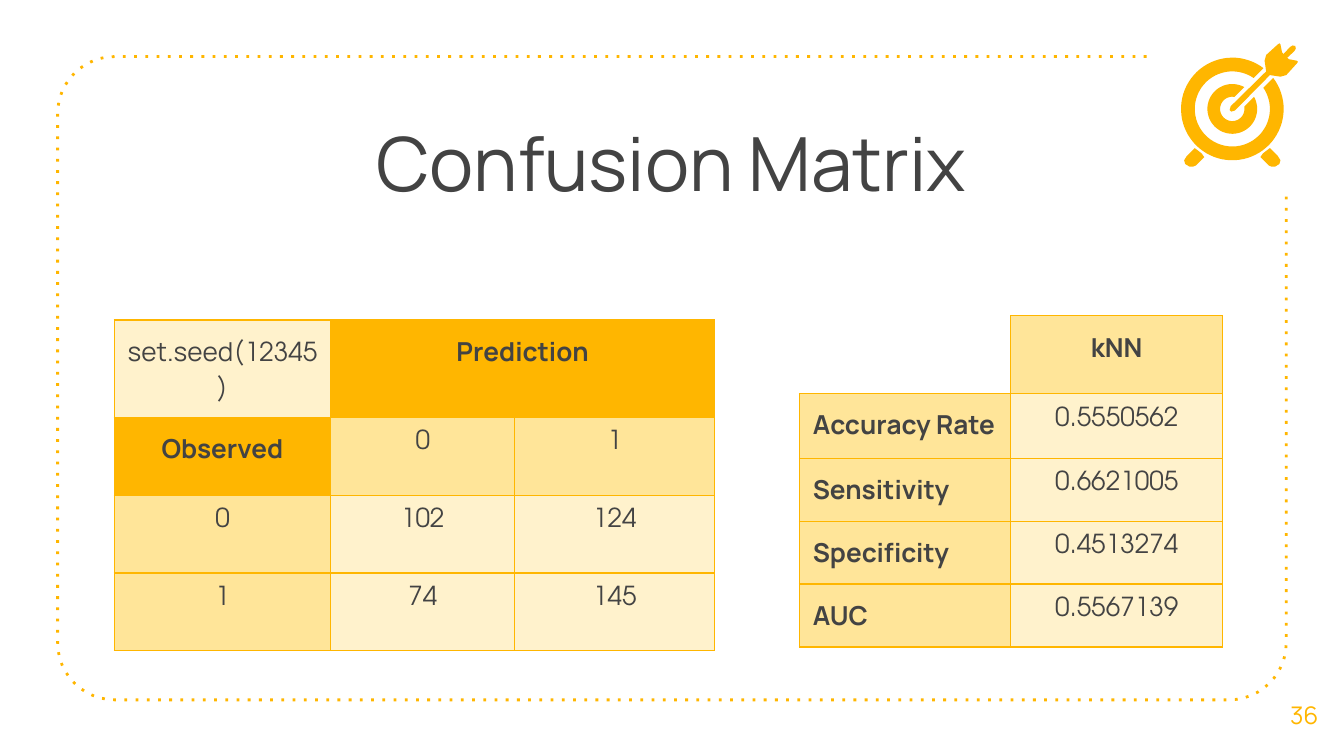
from math import asin, cos, pi, sin

from lxml.etree import SubElement
from pptx import Presentation
from pptx.dml.color import RGBColor
from pptx.enum.dml import MSO_LINE
from pptx.enum.text import MSO_ANCHOR, PP_ALIGN
from pptx.oxml.ns import qn
from pptx.util import Cm, Pt

AMBER = RGBColor(0xFF, 0xB6, 0x00)
SAND = RGBColor(0xFF, 0xE5, 0x99)
CREAM = RGBColor(0xFF, 0xF2, 0xCC)
CHARCOAL = RGBColor(0x43, 0x43, 0x43)
TEXT_FONT = "Manrope"
NUMBER_FONT = "TeX Gyre Adventor"
ALL_SIDES = ("lnL", "lnR", "lnT", "lnB")


def add_run(paragraph, text, color=CHARCOAL, **formats):
    run = paragraph.add_run()
    run.text = text
    run.font.color.rgb = color
    for name, value in formats.items():
        setattr(run.font, name, value)


def add_text(slide, box, text, size, color, anchor):
    frame = slide.shapes.add_textbox(*map(Cm, box)).text_frame
    margins = {f"margin_{side}": Cm(0.25) for side in ("left", "right", "top", "bottom")}
    formats = {"word_wrap": True, "vertical_anchor": anchor, **margins}
    for name, value in formats.items():
        setattr(frame, name, value)
    frame.paragraphs[0].alignment = PP_ALIGN.CENTER
    add_run(frame.paragraphs[0], text, color, size=Pt(size), name=TEXT_FONT)


def add_outline(slide, points, close=True):
    points = [(Cm(x), Cm(y)) for x, y in points]
    builder = slide.shapes.build_freeform(*points[0])
    builder.add_line_segments(points[1:], close=close)
    shape = builder.convert_to_shape()
    shape.shadow.inherit = False
    return shape


def arc(x, y, radius, start, end, steps):
    """Points on a circle; angles run counterclockwise from the right."""
    angles = [start + (end - start) * step / steps for step in range(steps + 1)]
    return [(x + radius * cos(angle), y - radius * sin(angle)) for angle in angles]


def add_frame(slide, box):
    """Dotted rounded border, open at the top right corner."""
    left, top, width, height = box
    right, bottom = left + width, top + height
    radius = 1.08
    points = [(right - 2.64, top)]
    points += arc(left + radius, top + radius, radius, pi / 2, pi, 12)
    points += arc(left + radius, bottom - radius, radius, pi, 1.5 * pi, 12)
    points += arc(right - radius, bottom - radius, radius, 1.5 * pi, 2 * pi, 12)
    points.append((right, top + 2.64))
    shape = add_outline(slide, points, close=False)
    shape.fill.background()
    shape.line.color.rgb = AMBER
    shape.line.width = Pt(1.5)
    shape.line.dash_style = MSO_LINE.ROUND_DOT
    shape.line._ln.find(qn("a:prstDash")).set("val", "dot")


def add_target(slide, box):
    """Target with two rings, two feet and an arrow on the diagonal."""
    left, top, width, height = box
    x, y = left + width / 2, top + height / 2
    half_gap = 0.13
    outlines = []

    # Rings, cut by a gap of equal width for the arrow
    for outer, inner in ((width / 2, 0.71), (0.47, 0.23)):
        outer_cut, inner_cut = asin(half_gap / outer), asin(half_gap / inner)
        outlines.append(
            arc(x, y, outer, pi / 4 + outer_cut, 2.25 * pi - outer_cut, 72)
            + arc(x, y, inner, 2.25 * pi - inner_cut, pi / 4 + inner_cut, 72))

    # Feet, mirrored left and right
    foot = [(0.71, 0.74), (0.86, 0.89), (0.91, 0.97), (0.89, 1.04), (0.81, 1.09),
            (0.74, 1.09), (0.69, 1.07), (0.53, 0.91), (0.58, 0.84)]
    for side in (-1, 1):
        outlines.append([(x + side * dx, y + dy) for dx, dy in foot])

    # Arrow, mirrored across its diagonal
    half = [(1.19, -1.19), (1.14, -1.2), (1.09, -1.17), (0.97, -1.04), (0.94, -1.07),
            (0.91, -1.22), (0.89, -1.24), (0.86, -1.22), (0.64, -1.02), (0.61, -0.91),
            (0.64, -0.71), (-0.03, -0.05), (-0.05, 0.02)]
    arrow = half + [(-dy, -dx) for dx, dy in reversed(half)]
    outlines.append([(x + dx, y + dy) for dx, dy in arrow])

    for points in outlines:
        shape = add_outline(slide, points)
        shape.fill.solid()
        shape.fill.fore_color.rgb = AMBER
        shape.line.fill.background()


def set_borders(cell, sides):
    properties = cell._tc.get_or_add_tcPr()
    for position, side in enumerate(sides):
        line = properties.makeelement(qn(f"a:{side}"), {"w": str(Pt(0.75))})
        fill = SubElement(line, qn("a:solidFill"))
        SubElement(fill, qn("a:srgbClr"), val=str(AMBER))
        properties.insert(position, line)


def plain(text):
    return text, {"name": TEXT_FONT}


def bold(text):
    return text, {"name": TEXT_FONT, "bold": True}


def number(text):
    return text, {"name": NUMBER_FONT}


def fill_cell(cell, runs, color, alignment=PP_ALIGN.CENTER, sides=ALL_SIDES):
    for side in ("left", "right", "top", "bottom"):
        setattr(cell, f"margin_{side}", Cm(0.25))
    if color is None:
        cell.fill.background()
    else:
        cell.fill.solid()
        cell.fill.fore_color.rgb = color
    paragraph = cell.text_frame.paragraphs[0]
    paragraph.alignment = alignment
    for text, formats in runs:
        add_run(paragraph, text, size=Pt(14), **formats)
    set_borders(cell, sides)


def add_grid(slide, left, top, widths, heights):
    box = map(Cm, (left, top, sum(widths), sum(heights)))
    table = slide.shapes.add_table(len(heights), len(widths), *box).table
    table.first_row = table.horz_banding = False
    for column, width in zip(table.columns, widths):
        column.width = Cm(width)
    for row, height in zip(table.rows, heights):
        row.height = Cm(height)
    return table


def add_confusion_table(slide, left, top):
    table = add_grid(slide, left, top, (4.09, 3.48, 3.78), (1.84, 1.47, 1.47, 1.47))
    rows = [
        [([plain("set.seed("), number("12345"), plain(")")], CREAM),
         ([bold("Prediction")], AMBER), ([], AMBER)],
        [([bold("Observed")], AMBER), ([number("0")], SAND), ([number("1")], SAND)],
    ]
    for label, *counts in (("0", "102", "124"), ("1", "74", "145")):
        rows.append([([number(label)], SAND)]
                    + [([number(count)], CREAM) for count in counts])
    for row, cells in enumerate(rows):
        for column, (runs, color) in enumerate(cells):
            fill_cell(table.cell(row, column), runs, color)
    table.cell(0, 1).merge(table.cell(0, 2))


def add_metrics_table(slide, left, top):
    metrics = (("Accuracy Rate", "0.5550562"), ("Sensitivity", "0.6621005"),
               ("Specificity", "0.4513274"), ("AUC", "0.5567139"))
    table = add_grid(slide, left, top, (3.99, 4.01), (1.47, 1.22, 1.19, 1.19, 1.19))
    fill_cell(table.cell(0, 0), [], None, sides=("lnR", "lnB"))
    fill_cell(table.cell(0, 1), [bold("kNN")], SAND)
    for row, (label, value) in enumerate(metrics, start=1):
        fill_cell(table.cell(row, 0), [bold(label)], SAND, PP_ALIGN.LEFT)
        fill_cell(table.cell(row, 1), [number(value)], CREAM)


def main():
    presentation = Presentation()
    presentation.slide_width = Cm(25.4)
    presentation.slide_height = Cm(14.29)
    slide = presentation.slides.add_slide(presentation.slide_layouts[6])

    add_frame(slide, (1.09, 1.07, 23.22, 12.16))
    add_text(slide, (2.21, 1.96, 20.96, 2.39), "Confusion Matrix", 40, CHARCOAL, MSO_ANCHOR.TOP)
    add_text(slide, (23.9, 12.75, 1.5, 1.52), "36", 13, AMBER, MSO_ANCHOR.MIDDLE)
    add_confusion_table(slide, 2.16, 6.05)
    add_target(slide, (22.32, 1.09, 1.94, 1.94))
    add_metrics_table(slide, 15.11, 5.97)
    presentation.save("out.pptx")


if __name__ == "__main__":
    main()
